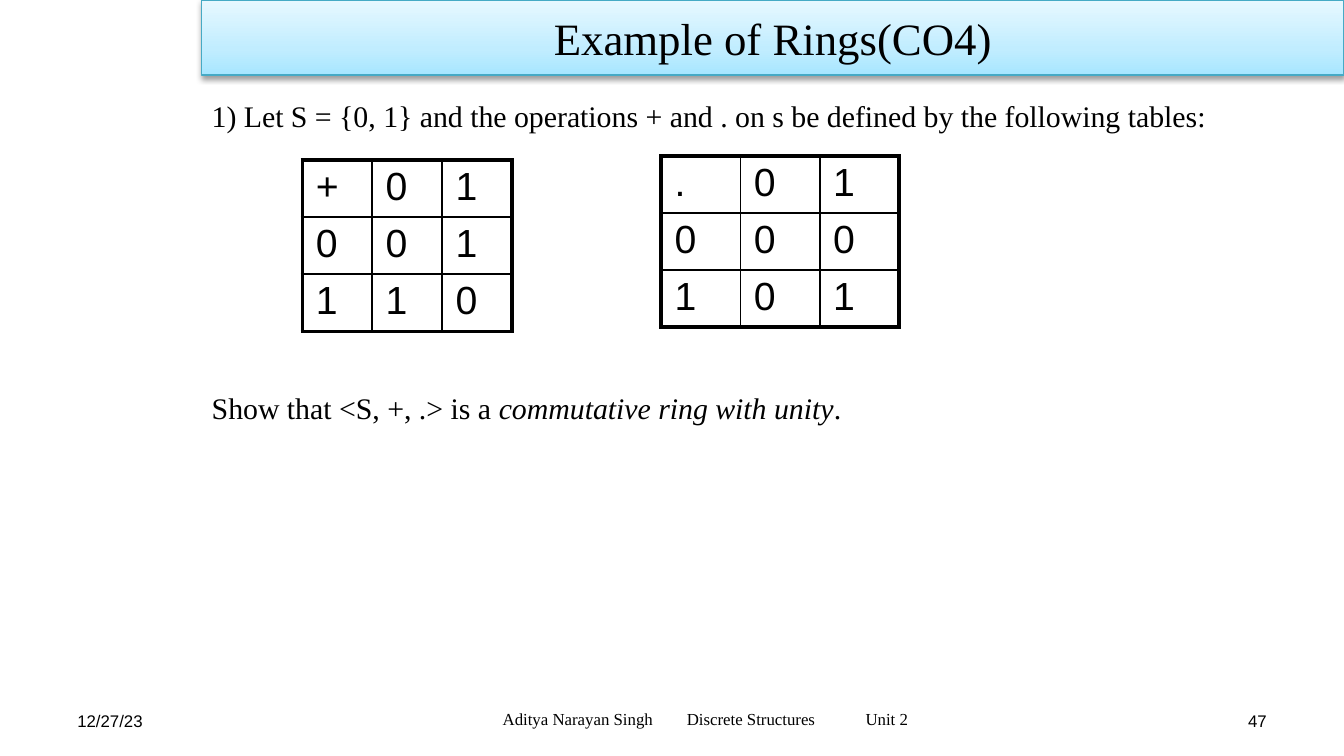
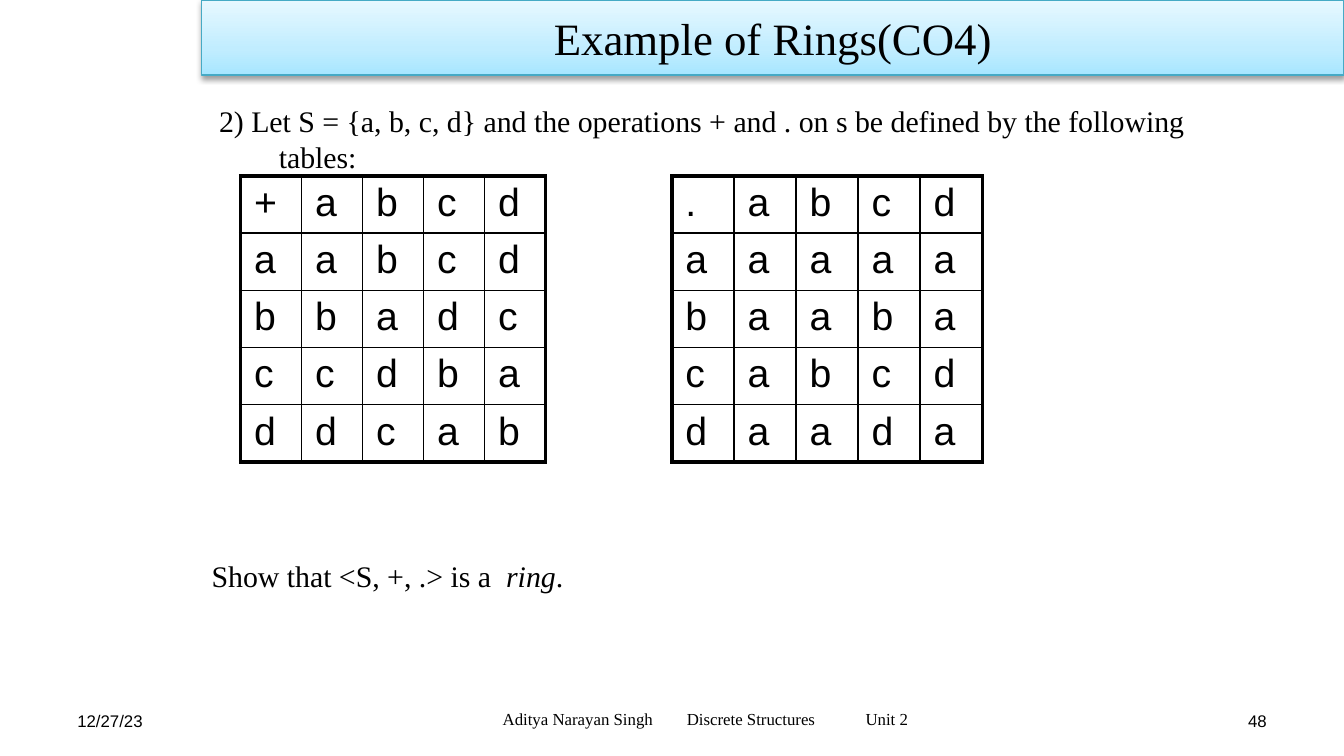
from dataclasses import dataclass

from lxml.etree import SubElement as Sub
from pptx import Presentation
from pptx.dml.color import RGBColor as RGB
from pptx.enum.shapes import MSO_SHAPE as Shape
from pptx.enum.text import MSO_ANCHOR as Anchor, PP_ALIGN as Align
from pptx.oxml.ns import qn
from pptx.util import Inches, Pt


@dataclass(frozen=True)
class Theme:
    """Colours, fonts, type sizes and margins of the deck."""
    ink: str = "000000"
    edge: str = "46AAC5"
    band: tuple = ((0, "A7E6FF"), (35, "C1EDFF"), (100, "E7F8FF"))
    serif: str = "Times New Roman"
    sans: str = "Arial"
    title: int = 24
    body: int = 16
    cell: int = 21
    foot: int = 9
    thick: float = 2.25
    thin: float = 1
    side: int = Inches(0.15) // 2
    brim: int = Inches(0.15) // 4


T = Theme()


def style(para, face, size, align=Align.LEFT):
    """Set the font and alignment of a paragraph."""
    font = para.font
    font.name, font.size = face, Pt(size)
    font.color.rgb = RGB.from_string(T.ink)
    para.alignment = align


def inset(frame, anchor, left=T.side):
    """Set the wrap, anchor and margins of a text frame."""
    frame.word_wrap = True
    frame.vertical_anchor = anchor
    frame.margin_left, frame.margin_right = left, T.side
    frame.margin_top = frame.margin_bottom = T.brim


def label(slide, box, text, face, align=Align.LEFT, left=T.side):
    """Add a one-line footer text and return its paragraph."""
    frame = slide.shapes.add_textbox(*map(Inches, box)).text_frame
    inset(frame, Anchor.MIDDLE, left)
    para = frame.paragraphs[0]
    para.text = text
    style(para, face, T.foot, align)
    return para


def banner(slide, box, text):
    """Draw the title band with its gradient and shadow."""
    band = slide.shapes.add_shape(Shape.RECTANGLE, *map(Inches, box))
    band.fill.gradient()
    band.fill.gradient_angle = 90
    band.line.color.rgb = RGB.from_string(T.edge)
    band.line.width = Pt(0.75)
    band.shadow.inherit = False
    props = band.element.spPr
    stops = next(props.iter(qn("a:gsLst")))
    for stop in list(stops):
        stops.remove(stop)
    for spot, tint in T.band:
        stop = Sub(stops, qn("a:gs"), pos=str(spot * 1000))
        Sub(stop, qn("a:srgbClr"), val=tint)
    shade = Sub(props.find(qn("a:effectLst")), qn("a:outerShdw"),
                blurRad=str(Pt(3.1)), dist=str(Pt(1.6)), dir="5400000", rotWithShape="0")
    tint = Sub(shade, qn("a:srgbClr"), val=T.ink)
    Sub(tint, qn("a:alpha"), val="38000")
    inset(band.text_frame, Anchor.MIDDLE)
    para = band.text_frame.paragraphs[0]
    para.text = text
    style(para, T.serif, T.title, Align.CENTER)


def footer(slide, box, number):
    """Place the date, course line and page number in a strip."""
    x, y, w, h = box
    side = 2.33
    label(slide, (x, y, side, h), "12/27/23", T.sans)
    label(slide, (x + w - side, y, side, h), str(number), T.sans, Align.RIGHT)
    course = label(slide, (x + 2, y - 0.01, 5.5, h),
                   "Aditya Narayan Singh\tDiscrete Structures\tUnit 2", T.serif,
                   left=Inches(1.24))
    tabs = Sub(course._p.get_or_add_pPr(), qn("a:tabLst"))
    course._p.pPr.insert(0, tabs)
    for spot in (1.37, 2.7):
        Sub(tabs, qn("a:tab"), pos=str(Inches(spot)), algn="l")


def prose(slide, box, task, goal, gap):
    """Write the task, and the goal a gap in points below it."""
    frame = slide.shapes.add_textbox(*map(Inches, box)).text_frame
    inset(frame, Anchor.TOP)
    first, last = frame.paragraphs[0], frame.add_paragraph()
    first.text = task
    last.space_before = Pt(gap)
    for part, slant in zip(("Show that <S, +, .> is a ", goal, "."), (False, True, False)):
        run = last.add_run()
        run.text = part
        run.font.italic = slant
    for para in (first, last):
        style(para, T.serif, T.body)
        props = para._p.get_or_add_pPr()
        props.set("marL", str(Inches(0.5)))
        props.set("indent", str(Inches(-0.5)))


def border(cell, sides):
    """Draw the cell borders, thick on the sides marked true."""
    props = cell._tc.get_or_add_tcPr()
    for side, outer in sides.items():
        line = Sub(props, qn("a:ln" + side), w=str(Pt(T.thick if outer else T.thin)))
        Sub(Sub(line, qn("a:solidFill")), qn("a:srgbClr"), val=T.ink)


def grid(slide, box, rows):
    """Build a square operation table from strings of symbols."""
    size, end = len(rows), len(rows) - 1
    x, y, w, h = map(Inches, box)
    table = slide.shapes.add_table(size, size, x, y, w, h).table
    table.first_row = table.horz_banding = False
    for col in table.columns:
        col.width = w // size
    for r, row in enumerate(rows):
        table.rows[r].height = h // size
        for c, sign in enumerate(row):
            cell = table.cell(r, c)
            cell.margin_left = cell.margin_right = Inches(0.1)
            cell.margin_top = cell.margin_bottom = T.brim
            border(cell, {"L": c == 0, "R": c == end, "T": r == 0, "B": r == end})
            cell.fill.background()
            cell.text = sign
            style(cell.text_frame.paragraphs[0], T.sans, T.cell)


def lesson(deck, number, text, tables):
    """Add one exercise slide with its text and tables."""
    slide = deck.slides.add_slide(deck.slide_layouts[6])
    footer(slide, (0.5, 5.21, 9, 0.3), number)
    banner(slide, (1.5, 0, 8.5, 0.56), "Example of Rings(CO4)")
    prose(slide, *text)
    for box, rows in tables:
        grid(slide, box, rows.split())


def main():
    """Build and save the deck."""
    deck = Presentation()
    deck.slide_width = Inches(10)
    deck.slide_height = deck.slide_width * 9 // 16
    lesson(deck, 47, (
        (1.5, 0.69, 8.08, 2.25),
        "1) Let S = {0, 1} and the operations + and . on s be defined by the following tables:",
        "commutative ring with unity", 137,
    ), (
        ((2.25, 1.19, 1.56, 1.27), "+01 001 110"),
        ((4.92, 1.16, 1.77, 1.27), ".01 000 101"),
    ))
    lesson(deck, 48, (
        (1.5, 0.73, 8, 3.9),
        " 2) Let S = {a, b, c, d} and the operations + and . on s be defined by the following tables:",
        " ring", 205,
    ), (
        ((1.79, 1.31, 2.27, 2.12), "+abcd aabcd bbadc ccdba ddcab"),
        ((5, 1.31, 2.31, 2.12), ".abcd aaaaa baaba cabcd daada"),
    ))
    deck.save("out.pptx")


if __name__ == "__main__":
    main()
